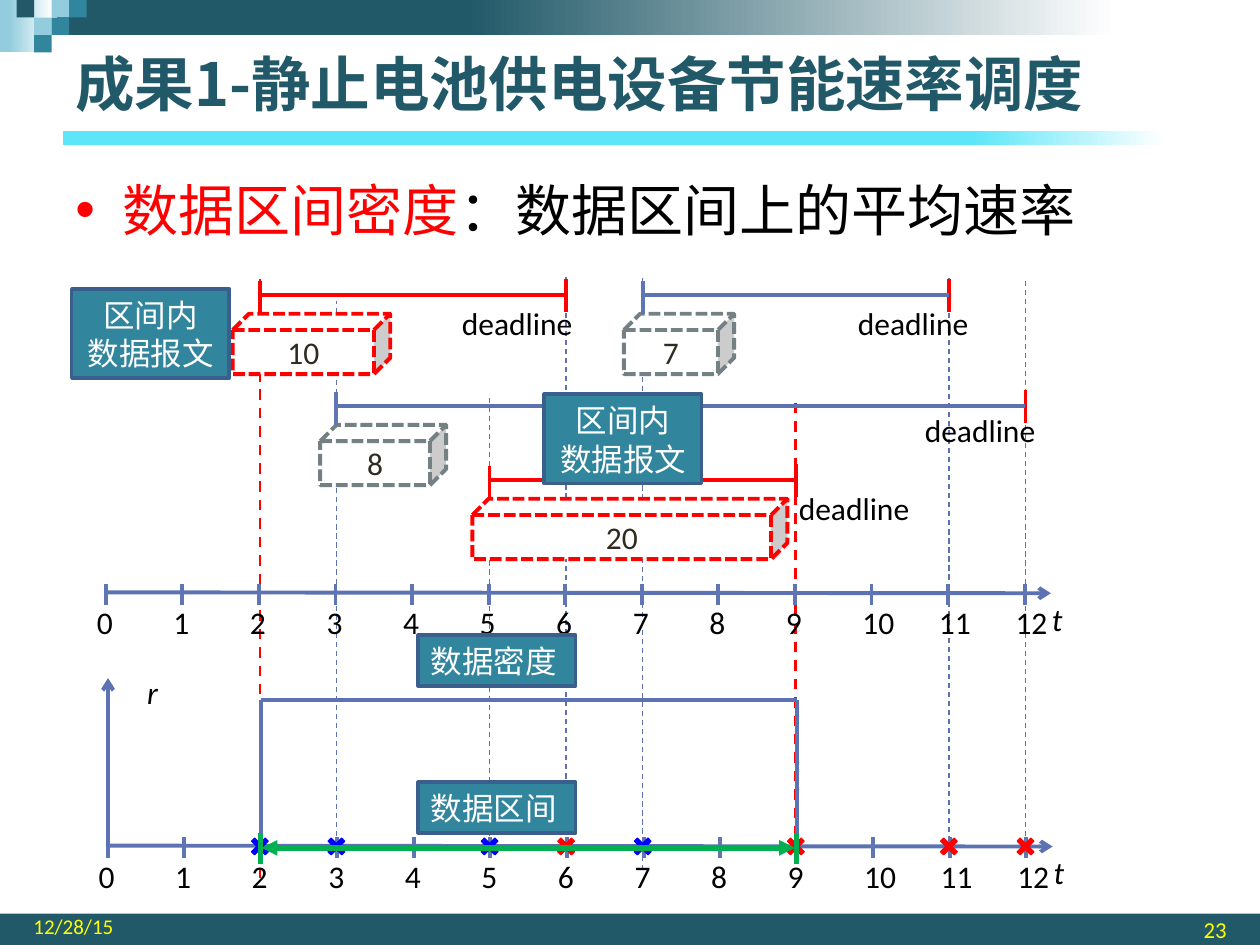
from lxml import etree
from pptx import Presentation
from pptx.dml.color import RGBColor
from pptx.enum import dml, shapes, text
from pptx.oxml import ns
from pptx.util import Pt

CHINESE = "Noto Sans CJK SC"
TEAL, NAVY, SKY = "31859C", "215968", "93CDDD"
RED, BLUE, GREEN, GREY = "FF0000", "5C72B2", "00B050", "758085"
TICK, YELLOW, WHITE, BLACK = "6076B4", "FFFF00", "FFFFFF", "000000"
ALIGN, ANCHOR = text.PP_ALIGN, text.MSO_ANCHOR
DASH = dml.MSO_LINE

STEP = 43.75
GUIDE_ORIGIN = 61
AXES = [(60.5, 338.75), (61.5, 483.5)]

GRADIENTS = [
    (36, 75, 684, 8, (76, "5DE6F9"), (92, WHITE)),
    (0, 0, 30, 30, (18, SKY), (100, WHITE)),
    (32.5, 0, 687.5, 20, (34, NAVY), (88, WHITE)),
]
PIXELS = [(2, 0, SKY), (3, 0, TEAL), (1, 1, SKY), (0, 0, NAVY), (2, 1, TEAL), (1, 2, TEAL)]
GUIDES = [
    (2, 159, 502, RED, 1.5), (3, 172, 478, BLUE, 0.75), (5, 226, 478, BLUE, 0.75),
    (6, 157, 481, BLUE, 0.75), (7, 159, 497, BLUE, 0.75), (9, 226, 478, RED, 1.5),
    (11, 159, 486, BLUE, 0.75), (12, 160, 478, BLUE, 0.75),
]
PACKETS = [
    dict(size=10, start=2, end=6, top=168.5, left=133, span=RED, edge=RED, cap=RED, label=(264, 174)),
    dict(size=20, start=5, end=9, top=274.25, left=270, span=RED, edge=RED, cap=RED, label=(456.5, 279.5)),
    dict(size=8, start=3, end=12, top=232, left=183, span=BLUE, edge=GREY, cap=TICK, label=(528.5, 234.75)),
    dict(size=7, start=7, end=11, top=168.5, left=356.5, span=BLUE, edge=GREY, cap=TICK, label=(490.25, 173.5)),
]
ARRIVALS, DEADLINES = [2, 3, 5, 7], [6, 9, 11, 12]
TAGS = [
    ("数据区间", 239, 447, 29, ALIGN.JUSTIFY),
    ("数据密度", 239, 363, 29, ALIGN.JUSTIFY),
    ("区间内\n数据报文", 41, 165, 51, ALIGN.CENTER),
    ("区间内\n数据报文", 311, 225.25, 51, ALIGN.CENTER),
]

presentation = Presentation()
presentation.slide_width, presentation.slide_height = Pt(720), Pt(540)
slide = presentation.slides.add_slide(presentation.slide_layouts[6])


def color(value):
    return RGBColor.from_string(value)


def time_x(moment, origin=GUIDE_ORIGIN):
    return origin + STEP * moment


def write(shape, content, size=18, fill=BLACK, font="Calibri", bold=False, italic=False,
          align=None, anchor=ANCHOR.TOP, inset=None, spacing=None):
    frame = shape.text_frame
    frame.word_wrap = True
    frame.vertical_anchor = anchor
    if inset is not None:
        frame.margin_left = frame.margin_right = Pt(inset)
        frame.margin_top = frame.margin_bottom = Pt(inset)
    for index, line in enumerate(content.split("\n")):
        paragraph = frame.add_paragraph() if index else frame.paragraphs[-1]
        paragraph.alignment = align
        if spacing:
            paragraph.line_spacing = Pt(spacing)
        run = paragraph.add_run()
        run.text = line
        run.font.size, run.font.bold, run.font.italic = Pt(size), bold, italic
        run.font.name = font
        run.font.color.rgb = color(fill)
        etree.SubElement(run.font._element, ns.qn("a:ea"), typeface=font)


def add_label(left, top, width, height, content, **format):
    box = slide.shapes.add_textbox(Pt(left), Pt(top), Pt(width), Pt(height))
    write(box, content, **format)
    return box


def add_block(kind, left, top, width, height, fill=None, line=None, weight=0.75):
    shape = slide.shapes.add_shape(kind, Pt(left), Pt(top), Pt(width), Pt(height))
    shape.shadow.inherit = False
    if fill:
        shape.fill.solid()
        shape.fill.fore_color.rgb = color(fill)
    if line:
        shape.line.color.rgb = color(line)
        shape.line.width = Pt(weight)
    else:
        shape.line.fill.background()
    return shape


def add_line(x1, y1, x2, y2, stroke, weight=2.25, dash=None, head=None, tail=None):
    line = slide.shapes.add_connector(shapes.MSO_CONNECTOR.STRAIGHT, Pt(x1), Pt(y1), Pt(x2), Pt(y2))
    line.line.color.rgb = color(stroke)
    line.line.width = Pt(weight)
    if dash:
        line.line.dash_style = dash
    outline = line.line._get_or_add_ln()
    for end, arrow in (("a:headEnd", head), ("a:tailEnd", tail)):
        if arrow:
            etree.SubElement(outline, ns.qn(end), type=arrow)
    etree.SubElement(line._element.spPr, ns.qn("a:effectLst"))


def add_packet(size, start, end, top, left, span, edge, cap, label):
    first, last = time_x(start), time_x(end)
    cube = add_block(shapes.MSO_SHAPE.CUBE, left, top + 10.75, 9 * size, 34.5, WHITE, edge, 2.25)
    cube.adjustments[0] = 0.27
    cube.line.dash_style = DASH.SQUARE_DOT
    write(cube, str(size), fill="2F2B20", align=ALIGN.CENTER, anchor=ANCHOR.MIDDLE)
    add_line(last, top - 9, last, top + 10, RED)
    add_line(first, top, last, top, span)
    add_line(first, top - 8, first, top + 11, cap)
    add_label(*label, 72, 22, "deadline", inset=0)


def add_axis(origin, top):
    add_line(origin - 0.75, top - 0.25, origin + 540, top + 0.25, BLUE, tail="arrow")
    add_label(origin + 533.5, top + 0.5, 18, 30, "t", italic=True)
    for moment in range(13):
        x = time_x(moment, origin)
        add_line(x, top - 5, x, top + 7, TICK)
        add_label(x - 12.25, top + 2.5, 18 if moment < 9 else 42, 29, str(moment))


RECTANGLE = shapes.MSO_SHAPE.RECTANGLE
add_block(RECTANGLE, 0, 522, 720, 18, NAVY)
for left, top, width, height, *stops in GRADIENTS:
    band = add_block(RECTANGLE, left, top, width, height)
    band.fill.gradient()
    band.fill.gradient_angle = 0
    for stop, (position, value) in zip(band.fill.gradient_stops, stops):
        stop.position = position / 100
        stop.color.rgb = color(value)
for column, row, value in PIXELS:
    add_block(RECTANGLE, 9.5 + 10 * column, 10 * row, 10, 10, value)

add_label(36, 22.5, 627, 49, "成果1-静止电池供电设备节能速率调度", size=34, fill=NAVY,
          font=CHINESE, bold=True, anchor=ANCHOR.MIDDLE)
body = add_label(36, 94.25, 660, 50, "数据区间密度", size=32, fill=RED, font=CHINESE, spacing=41)
write(body, "：数据区间上的平均速率", size=32, font=CHINESE, spacing=41)
properties = body.text_frame.paragraphs[0]._p.get_or_add_pPr()
properties.set("marL", str(Pt(27)))
properties.set("indent", str(-Pt(27)))
etree.SubElement(properties, ns.qn("a:buFont"), typeface="Arial")
etree.SubElement(properties, ns.qn("a:buChar"), char="•")
add_label(12, 522, 168, 18, "12/28/15", size=12, fill=YELLOW, anchor=ANCHOR.BOTTOM)
add_label(540, 522, 168, 18, "23", size=13, fill=YELLOW, align=ALIGN.RIGHT, anchor=ANCHOR.MIDDLE)

for moment, top, bottom, stroke, weight in GUIDES:
    add_line(time_x(moment), bottom, time_x(moment), top, stroke, weight, DASH.DASH)
for packet in PACKETS:
    add_packet(**packet)
for origin, top in AXES:
    add_axis(origin, top)

add_line(61.75, 484, 61.75, 387.5, BLUE, tail="arrow")
add_label(77, 381, 18, 30, "r", italic=True)
begin, finish = time_x(2, 61.5), time_x(9, 61.5)
add_line(begin, 400.25, finish, 400.25, BLUE)
for x in (begin, finish):
    add_line(x, 400.25, x, 479.5, BLUE)
for moments, value in ((ARRIVALS, "0000FF"), (DEADLINES, RED)):
    for moment in moments:
        cross = add_block(shapes.MSO_SHAPE.CROSS, time_x(moment) - 5.5, 478.25, 11, 11, value, value)
        cross.adjustments[0] = 0.39
        cross.rotation = 45
for x in (begin, finish):
    add_line(x, 476, x, 494, GREEN, 3)
add_line(begin + 0.5, 484.5, finish - 1, 484.5, GREEN, 3, head="triangle", tail="triangle")

for content, left, top, height, align in TAGS:
    tag = add_block(RECTANGLE, left, top, 90, height, TEAL, "3A5F8C", 2)
    write(tag, content, fill=WHITE, font=CHINESE, align=align, anchor=ANCHOR.MIDDLE, spacing=22)

presentation.save("out.pptx")
